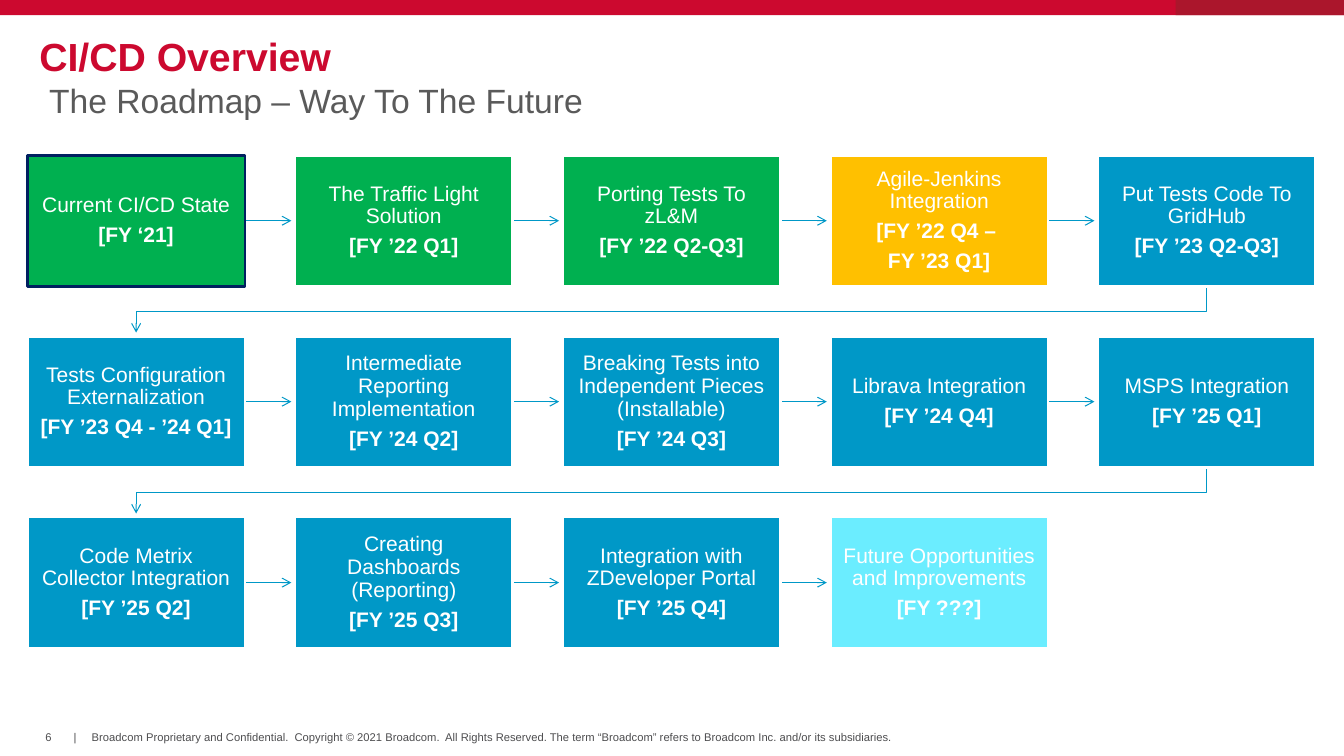
from lxml.etree import SubElement
from pptx import Presentation
from pptx.dml.color import RGBColor
from pptx.enum.shapes import MSO_CONNECTOR, MSO_SHAPE
from pptx.enum.text import MSO_ANCHOR, PP_ALIGN
from pptx.oxml.ns import qn
from pptx.util import Inches, Pt

COLORS = {
    "brand": "CC092F", "brand_dark": "AB162C", "subtitle": "5A5A5A",
    "footer": "4D4D4F", "white": "FFFFFF", "navy": "002060",
    "done": "00B050", "active": "FFC000", "planned": "0098C7", "future": "6BEDFF",
}
TITLE = "CI/CD Overview"
SUBTITLE = "The Roadmap – Way To The Future"
COPYRIGHT = ("Broadcom Proprietary and Confidential.  Copyright © 2021 Broadcom.  "
             "All Rights Reserved. The term “Broadcom” refers to Broadcom Inc. "
             "and/or its subsidiaries.")
# left, width, text, anchor
FOOTER = [
    (0.45, 0.14, "6", MSO_ANCHOR.MIDDLE),
    (0.73, 0.03, "|", MSO_ANCHOR.MIDDLE),
    (0.91, 8.01, COPYRIGHT, MSO_ANCHOR.TOP),
]
# milestone, date lines, status
ROADMAP = [
    [("Current CI/CD State", ["[FY ‘21]"], "done"),
     ("The Traffic Light Solution", ["[FY ’22 Q1]"], "done"),
     ("Porting Tests To zL&M", ["[FY ’22 Q2-Q3]"], "done"),
     ("Agile-Jenkins Integration", ["[FY ’22 Q4 – ", "FY ’23 Q1]"], "active"),
     ("Put Tests Code To GridHub", ["[FY ’23 Q2-Q3]"], "planned")],
    [("Tests Configuration Externalization", ["[FY ’23 Q4 - ’24 Q1]"], "planned"),
     ("Intermediate Reporting Implementation", ["[FY ’24 Q2]"], "planned"),
     ("Breaking Tests into Independent Pieces (Installable)", ["[FY ’24 Q3]"], "planned"),
     ("Librava Integration", ["[FY ’24 Q4]"], "planned"),
     ("MSPS Integration", ["[FY ’25 Q1]"], "planned")],
    [("Code Metrix Collector Integration", ["[FY ’25 Q2]"], "planned"),
     ("Creating Dashboards (Reporting)", ["[FY ’25 Q3]"], "planned"),
     ("Integration with ZDeveloper Portal", ["[FY ’25 Q4]"], "planned"),
     ("Future Opportunities and Improvements", ["[FY ???]"], "future")],
]

LEFT, TOP = 0.27, 1.54
BOX_W, BOX_H = 2.16, 1.3
COL_STEP = (10.89 - LEFT) / 4
ROW_STEP = (5.13 - TOP) / 2
ARROW_LENGTH = 0.46
TURN_DROP = 0.25


def rgb(name):
    return RGBColor.from_string(COLORS[name])


def inches(*lengths):
    return [Inches(length) for length in lengths]


def set_insets(frame, horizontal, vertical):
    frame.margin_left = frame.margin_right = Inches(horizontal)
    frame.margin_top = frame.margin_bottom = Inches(vertical)


def set_font(paragraph, size, color, bold=False):
    font = paragraph.font
    font.name, font.size, font.bold = "Arial", Pt(size), bold
    font.color.rgb = rgb(color)


def add_rect(left, top, width, height, fill):
    rect = slide.shapes.add_shape(MSO_SHAPE.RECTANGLE, *inches(left, top, width, height))
    rect.shadow.inherit = False
    rect.fill.solid()
    rect.fill.fore_color.rgb = rgb(fill)
    rect.line.fill.background()
    return rect


def style_arrow(arrow):
    arrow.line.color.rgb = rgb("planned")
    arrow.line.width = Pt(0.75)
    properties = arrow.line._get_or_add_ln()
    SubElement(properties, qn("a:tailEnd"), type="arrow")
    if properties.getparent().find(qn("a:effectLst")) is None:
        SubElement(properties.getparent(), qn("a:effectLst"))


def add_step_arrow(left, top):
    """Arrow from a milestone to the next one in its row."""
    start, end, y = inches(left + BOX_W, left + BOX_W + ARROW_LENGTH, top + BOX_H / 2)
    style_arrow(slide.shapes.add_connector(MSO_CONNECTOR.STRAIGHT, start, y, end, y))


def add_turn_arrow(left, top):
    """Bent arrow from the last milestone of a row to the first of the next."""
    start_x, end_x = left + BOX_W / 2, LEFT + BOX_W / 2
    bottom = top + BOX_H
    points = [(start_x, bottom + TURN_DROP), (end_x, bottom + TURN_DROP),
              (end_x, bottom + ARROW_LENGTH)]
    builder = slide.shapes.build_freeform(*inches(start_x, bottom))
    builder.add_line_segments([inches(*point) for point in points], close=False)
    turn = builder.convert_to_shape()
    turn.shadow.inherit = False
    turn.fill.background()
    style_arrow(turn)


def add_milestone(left, top, name, dates, status, outline):
    box = add_rect(left, top, BOX_W, BOX_H, status)
    box.line.color.rgb = rgb(outline)
    box.line.width = Pt(2)
    frame = box.text_frame
    frame.word_wrap = True
    frame.vertical_anchor = MSO_ANCHOR.MIDDLE
    set_insets(frame, 0.12, 0.12)
    frame.text = "\n".join([name, *dates])
    for index, paragraph in enumerate(frame.paragraphs):
        paragraph.alignment = PP_ALIGN.CENTER
        paragraph.line_spacing = 0.9
        paragraph.space_after = Pt(5.25)
        set_font(paragraph, 15, "white", bold=index > 0)


prs = Presentation()
prs.slide_width, prs.slide_height = inches(13.33, 7.5)
slide = prs.slides.add_slide(prs.slide_layouts[5])

add_rect(0, 0, 13.33, 0.15, "brand")
add_rect(11.66, 0, 1.67, 0.15, "brand_dark")

title = slide.shapes.title
title.left, title.top, title.width, title.height = inches(0.39, 0.39, 12.43, 0.4)
subtitle = slide.shapes.add_textbox(*inches(0.39, 0.79, 12.43, 0.36))
headings = [
    (title, TITLE, 28, "brand", True, 0.85, (0, 0), MSO_ANCHOR.MIDDLE),
    (subtitle, SUBTITLE, 24, "subtitle", False, 0.9, (0.1, 0.05), MSO_ANCHOR.TOP),
]
for heading, text, size, color, bold, spacing, insets, anchor in headings:
    frame = heading.text_frame
    frame.text = text
    frame.word_wrap = True
    frame.vertical_anchor = anchor
    set_insets(frame, *insets)
    paragraph = frame.paragraphs[0]
    paragraph.alignment = PP_ALIGN.LEFT
    paragraph.line_spacing = spacing
    set_font(paragraph, size, color, bold)

for left, width, text, anchor in FOOTER:
    frame = slide.shapes.add_textbox(*inches(left, 7.25, width, 0.13)).text_frame
    frame.text = text
    frame.word_wrap = False
    frame.vertical_anchor = anchor
    set_insets(frame, 0, 0)
    set_font(frame.paragraphs[0], 8, "footer")

for row, milestones in enumerate(ROADMAP):
    top = TOP + row * ROW_STEP
    for column, (name, dates, status) in enumerate(milestones):
        left = LEFT + column * COL_STEP
        if column < len(milestones) - 1:
            add_step_arrow(left, top)
        elif row < len(ROADMAP) - 1:
            add_turn_arrow(left, top)
        is_current = row == column == 0
        add_milestone(left, top, name, dates, status, "navy" if is_current else "white")

prs.save("out.pptx")
